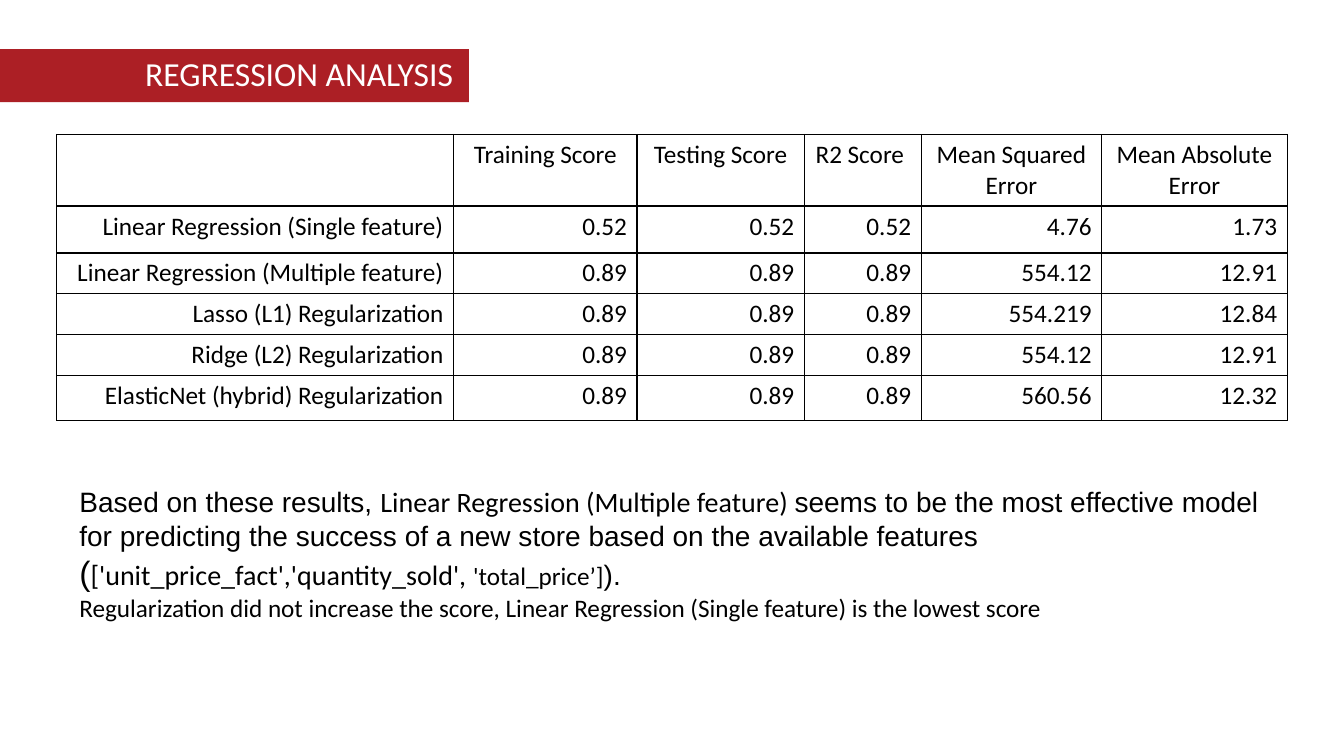
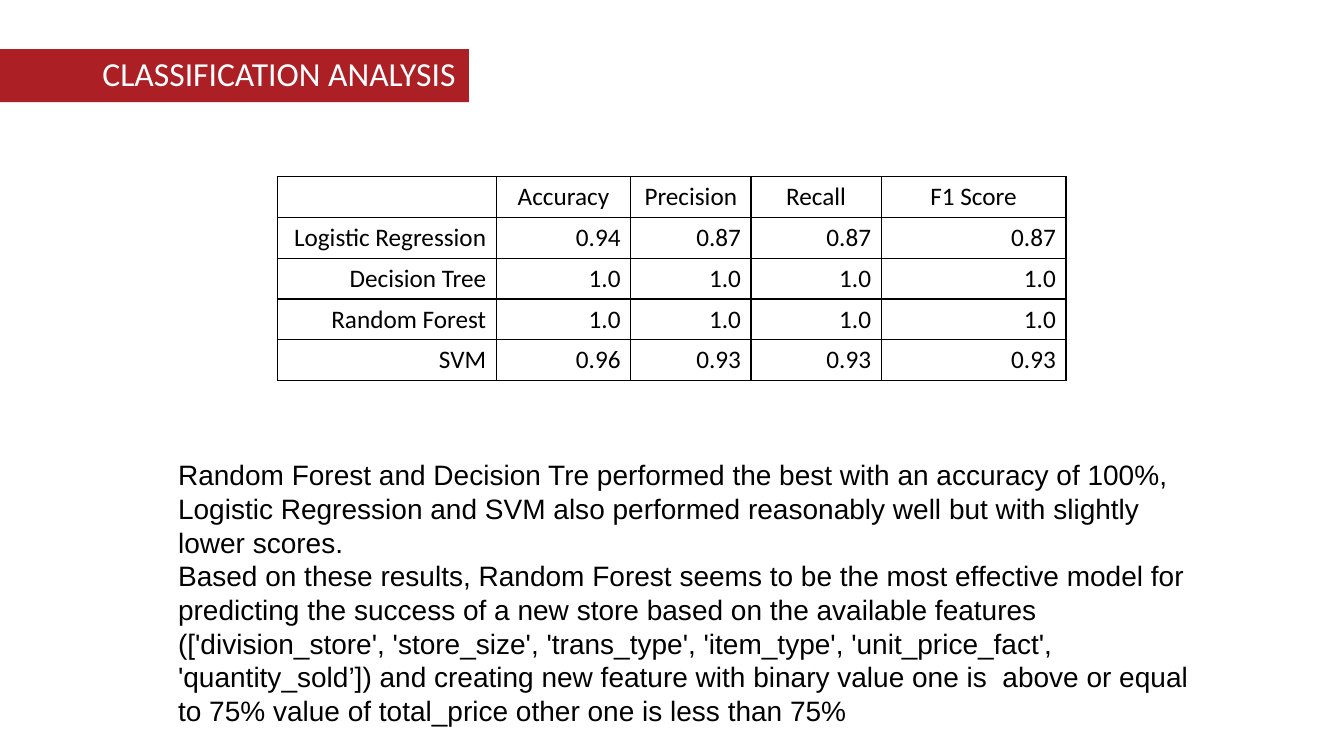
import dataclasses

import lxml.etree
import pptx
import pptx.dml.color
import pptx.enum.shapes
import pptx.enum.text
import pptx.oxml.ns
import pptx.util

Pt = pptx.util.Pt
Align = pptx.enum.text.PP_ALIGN
qn = pptx.oxml.ns.qn


@dataclasses.dataclass(frozen=True)
class Theme:
    red: str = "AC1F25"
    white: str = "FFFFFF"
    black: str = "000000"
    sans: str = "Calibri"
    plain: str = "Arial"
    head: int = 24
    text: int = 20
    cell: int = 18
    rule: int = 1
    edge: int = 335


THEME = Theme()


def color(code):
    return pptx.dml.color.RGBColor.from_string(code)


def place(shape, left, top, width, height):
    shape.left, shape.top = Pt(left), Pt(top)
    shape.width, shape.height = Pt(width), Pt(height)


def add_run(para, text, size, face, ink=THEME.black):
    run = para.add_run()
    run.text = text
    run.font.size = Pt(size)
    run.font.name = face
    run.font.color.rgb = color(ink)


def set_frame(frame):
    frame.word_wrap = True
    frame.auto_size = pptx.enum.text.MSO_AUTO_SIZE.NONE
    frame.vertical_anchor = pptx.enum.text.MSO_ANCHOR.TOP


def add_title(slide, text, left):
    title = slide.shapes.title
    band = slide.shapes.add_shape(
        pptx.enum.shapes.MSO_SHAPE.RECTANGLE, 0, Pt(35), Pt(THEME.edge), Pt(38))
    band.shadow.inherit = False
    band.fill.solid()
    band.fill.fore_color.rgb = color(THEME.red)
    band.line.fill.background()
    title.element.addprevious(band.element)
    place(title, left, 34.5, THEME.edge - left, 36)
    set_frame(title.text_frame)
    para = title.text_frame.paragraphs[0]
    para.alignment = Align.LEFT
    add_run(para, text, THEME.head, THEME.sans, THEME.white)


def add_body(slide, box, paras):
    body = slide.placeholders[1]
    place(body, *box)
    frame = body.text_frame
    set_frame(frame)
    for index, runs in enumerate(paras):
        para = frame.add_paragraph() if index else frame.paragraphs[0]
        para.space_before = Pt(0)
        props = para._p.get_or_add_pPr()
        props.set("marL", "0")
        props.set("indent", "0")
        lxml.etree.SubElement(props, qn("a:buNone"))
        for text, size, face in runs:
            add_run(para, text, size, face)


def add_rules(cell):
    props = cell._tc.get_or_add_tcPr()
    for side in ("lnL", "lnR", "lnT", "lnB"):
        line = lxml.etree.SubElement(props, qn("a:" + side), w=str(Pt(THEME.rule)))
        fill = lxml.etree.SubElement(line, qn("a:solidFill"))
        lxml.etree.SubElement(fill, qn("a:srgbClr"), val=THEME.black)


def add_grid(slide, left, top, widths, heights, rows):
    frame = slide.shapes.add_table(
        len(rows), len(widths), Pt(left), Pt(top), Pt(sum(widths)), Pt(sum(heights)))
    table = frame.table
    table.first_row = table.horz_banding = False
    for column, width in zip(table.columns, widths):
        column.width = Pt(width)
    for index, (height, texts) in enumerate(zip(heights, rows)):
        table.rows[index].height = Pt(height)
        for cell, text in zip(table.rows[index].cells, texts):
            add_rules(cell)
            cell.fill.background()
            para = cell.text_frame.paragraphs[0]
            para.alignment = Align.RIGHT if index else Align.CENTER
            if text:
                add_run(para, text, THEME.cell, THEME.sans)


def add_page(deck, title, left, grid, box, paras):
    slide = deck.slides.add_slide(deck.slide_layouts[1])
    add_title(slide, title, left)
    add_body(slide, box, paras)
    add_grid(slide, *grid)


def main():
    deck = pptx.Presentation()
    deck.slide_width, deck.slide_height = Pt(960), Pt(540)
    sans, plain = THEME.sans, THEME.plain
    head, size, small = THEME.head, THEME.text, THEME.cell

    scores = [
        ["", "Training Score", "Testing Score", "R2 Score ",
         "Mean Squared Error", "Mean Absolute Error"],
        ["Linear Regression (Single feature)", "0.52", "0.52", "0.52", "4.76", "1.73"],
        ["Linear Regression (Multiple feature)", "0.89", "0.89", "0.89", "554.12", "12.91"],
        ["Lasso (L1) Regularization", "0.89", "0.89", "0.89", "554.219", "12.84"],
        ["Ridge (L2) Regularization", "0.89", "0.89", "0.89", "554.12", "12.91"],
        ["ElasticNet (hybrid) Regularization", "0.89", "0.89", "0.89", "560.56", "12.32"],
    ]
    notes = [
        [("Based on these results, ", size, plain),
         ("Linear Regression (Multiple feature) ", size, sans),
         ("seems to be the most effective model for predicting the success of "
          "a new store based on the available features ", size, plain),
         ("(", head, plain),
         ("['unit_price_fact','quantity_sold', ", size, sans),
         ("'total_price’]", small, sans),
         (").", size, plain)],
        [("Regularization did not increase the score, Linear Regression "
          "(Single feature) is the lowest score", small, sans)],
    ]
    add_page(deck, "REGRESSION ANALYSIS", 96.5,
             (40.5, 96, [283.5, 131, 119.5, 83.5, 129, 132.5],
              [50.5, 33.5, 29, 29, 29, 32], scores),
             (49.5, 342.5, 861, 106.5), notes)

    scores = [
        ["", "Accuracy", "Precision", "Recall", "F1 Score"],
        ["Logistic Regression", "0.94", "0.87", "0.87", "0.87"],
        ["Decision Tree", "1.0", "1.0", "1.0", "1.0"],
        ["Random Forest", "1.0", "1.0", "1.0", "1.0"],
        ["SVM", "0.96", "0.93", "0.93", "0.93"],
    ]
    notes = [
        "Random Forest and Decision Tre performed the best with an accuracy of 100%,",
        "Logistic Regression and SVM also performed reasonably well but with "
        "slightly lower scores.",
        "Based on these results, Random Forest seems to be the most effective model "
        "for predicting the success of a new store based on the available features "
        "(['division_store', 'store_size', 'trans_type', 'item_type', "
        "'unit_price_fact', 'quantity_sold’]) and creating new feature with binary "
        "value one is  above or equal to 75% value of total_price other one is "
        "less than 75%",
    ]
    add_page(deck, "CLASSIFICATION ANALYSIS", 66,
             (198, 126, [156.5, 96, 86, 93, 132], [28.8] * len(scores), scores),
             (120, 323.5, 753, 177), [[(note, size, plain)] for note in notes])

    deck.save("out.pptx")


if __name__ == "__main__":
    main()
